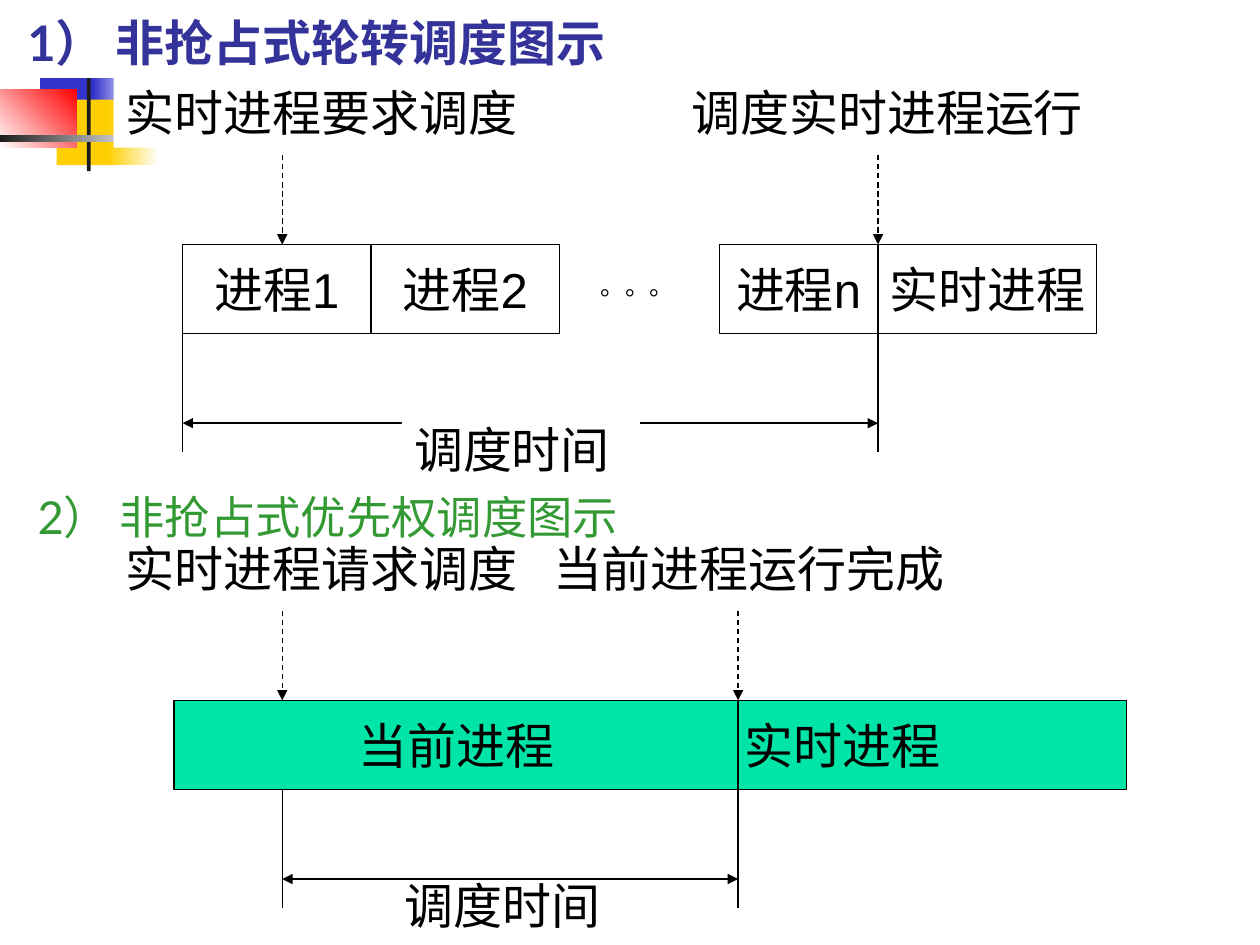
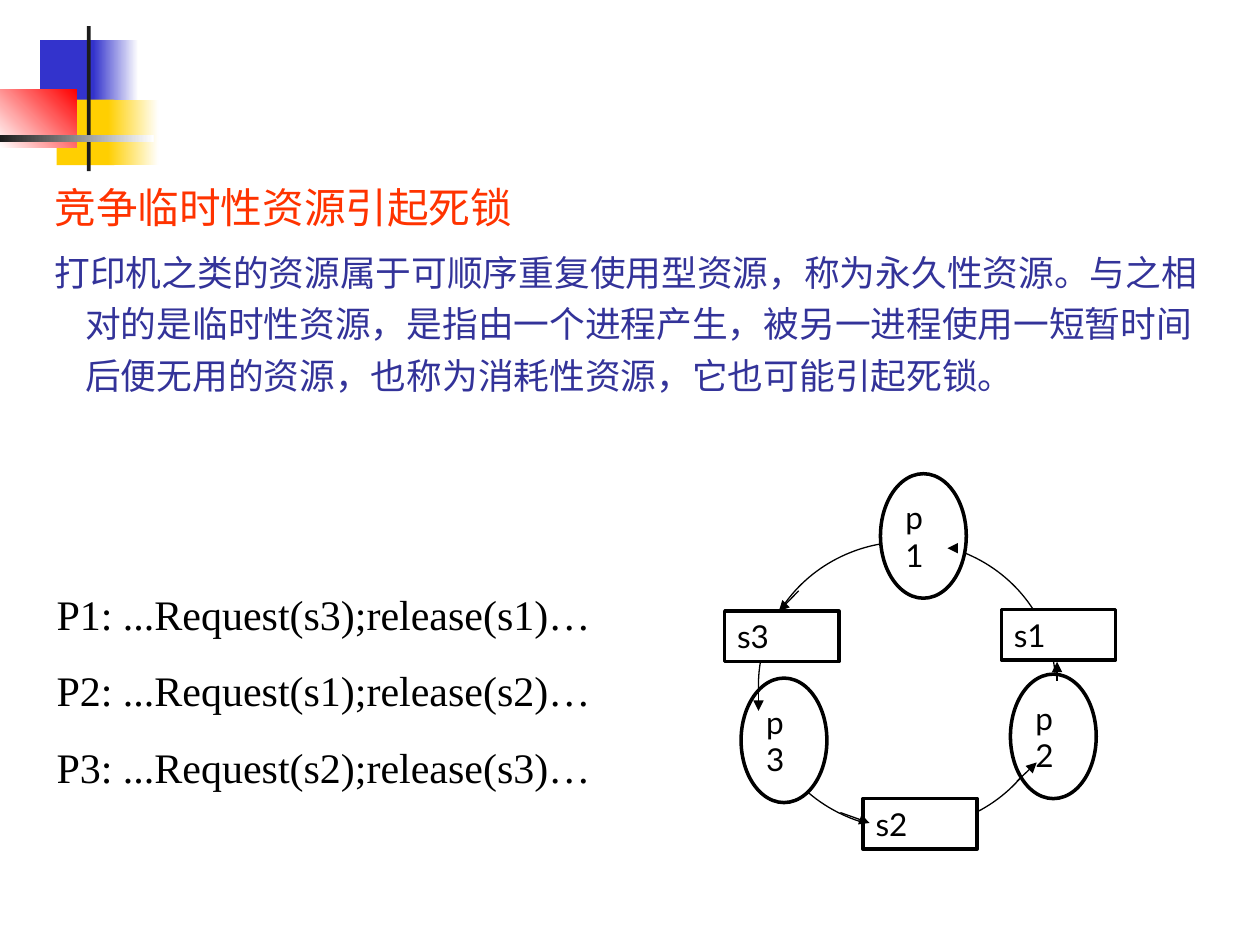
from lxml import etree
from pptx import Presentation
from pptx.dml.color import RGBColor
from pptx.enum import dml, shapes, text as t
from pptx.oxml.ns import qn
from pptx.util import Cm, Pt

BLACK = RGBColor(0x00, 0x00, 0x00)
WHITE = RGBColor(0xFF, 0xFF, 0xFF)
BLUE = RGBColor(0x33, 0x33, 0xCC)
YELLOW = RGBColor(0xFF, 0xCF, 0x01)
RED = RGBColor(0xFF, 0x00, 0x00)
CHARCOAL = RGBColor(0x1C, 0x1C, 0x1C)
NAVY = RGBColor(0x33, 0x33, 0x99)
GREEN = RGBColor(0x33, 0x99, 0x33)
MINT = RGBColor(0x00, 0xE4, 0xA8)
ORANGE = RGBColor(0xFF, 0x33, 0x00)
CJK = "Noto Sans CJK SC"

RECT = shapes.MSO_SHAPE.RECTANGLE
OVAL = shapes.MSO_SHAPE.OVAL
LEFT, CENTER = t.PP_ALIGN.LEFT, t.PP_ALIGN.CENTER
TOP, MIDDLE, BOTTOM = t.MSO_ANCHOR.TOP, t.MSO_ANCHOR.MIDDLE, t.MSO_ANCHOR.BOTTOM


def box(slide, place, text="", kind=None, shape=None, fill=None, line=0, size=28,
        font="Arial", color=BLACK, bold=False, align=LEFT, anchor=TOP, margin=0.25,
        spacing=1.0, before=0, hanging=None):
    """Place a shape (a text box when no kind is given) and write its lines; place is in cm."""
    place = [Cm(v) for v in place]
    if shape is None:
        shape = slide.shapes.add_shape(kind, *place) if kind else slide.shapes.add_textbox(*place)
        if kind:
            shape.shadow.inherit = False
    else:
        shape.left, shape.top, shape.width, shape.height = place
    if fill is None:
        shape.fill.background()
    else:
        shape.fill.solid()
        shape.fill.fore_color.rgb = fill
    if line:
        shape.line.color.rgb = BLACK
        shape.line.width = Pt(line)
    else:
        shape.line.fill.background()

    frame = shape.text_frame
    frame.word_wrap = True
    frame.auto_size = t.MSO_AUTO_SIZE.NONE
    frame.vertical_anchor = anchor
    frame.margin_left = frame.margin_right = Cm(margin)
    frame.margin_top = frame.margin_bottom = Cm(0.13)
    for i, words in enumerate(text.split("\n") if text else []):
        paragraph = frame.add_paragraph() if i else frame.paragraphs[0]
        paragraph.alignment = align
        paragraph.line_spacing = spacing
        paragraph.space_before = Pt(before if i else 0)
        if hanging:
            margins = paragraph._p.get_or_add_pPr()
            margins.set("marL", str(Cm(hanging[0])))
            margins.set("indent", str(-Cm(hanging[1])))
        run = paragraph.add_run()
        run.text = words
        run.font.size, run.font.bold = Pt(size), bold
        run.font.color.rgb = color
        run.font.name = font
        etree.SubElement(run._r.get_or_add_rPr(), qn("a:ea"), typeface=CJK)
    return shape


def connect(slide, x1, y1, x2, y2, heads=(), dashed=False):
    """Draw a thin black line in cm; heads lists the ends with an arrowhead."""
    link = slide.shapes.add_connector(
        shapes.MSO_CONNECTOR.STRAIGHT, Cm(x1), Cm(y1), Cm(x2), Cm(y2))
    link.line.color.rgb = BLACK
    link.line.width = Pt(0.75)
    if dashed:
        link.line.dash_style = dml.MSO_LINE.DASH
    for end in heads:
        etree.SubElement(link.line._get_or_add_ln(), qn(f"a:{end}"), type="triangle")
    etree.SubElement(link._element.spPr, qn("a:effectLst"))


FROM, TO = "headEnd", "tailEnd"

prs = Presentation()
prs.slide_width, prs.slide_height = Cm(25.4), Cm(19.05)
scheduling = prs.slides.add_slide(prs.slide_layouts[5])
deadlock = prs.slides.add_slide(prs.slide_layouts[6])

# Corner ornament: place, start colour, end colour, gradient angle
ornament = [
    ((0.81, 0.81, 1.22, 1.32), BLUE, None, 0),
    ((1.88, 0.81, 0.91, 1.32), BLUE, WHITE, 0),
    ((1.14, 2.01, 1.17, 1.32), YELLOW, None, 0),
    ((2.18, 2.01, 1.02, 1.32), YELLOW, WHITE, 0),
    ((0, 1.8, 1.55, 1.17), WHITE, RED, 45),
    ((1.75, 0.53, 0.08, 2.92), CHARCOAL, None, 0),
    ((0, 2.72, 3.1, 0.15), CHARCOAL, WHITE, 0),
]
for slide in (scheduling, deadlock):
    for place, start, end, angle in ornament:
        piece = box(slide, place, kind=RECT, fill=start)
        if end is not None:
            piece.fill.gradient()
            piece.fill.gradient_angle = angle
            for stop, shade in zip(piece.fill.gradient_stops, (start, end)):
                stop.color.rgb = shade

# Slide 1: two scheduling timelines
title = scheduling.shapes.title
scheduling.shapes._spTree.append(title._element)  # in front of the ornament
box(scheduling, (0.3, 0, 21.64, 1.57), "1） 非抢占式轮转调度图示", shape=title, fill=WHITE,
    font="Lato", color=NAVY, bold=True, anchor=BOTTOM)
box(scheduling, (0.51, 9.73, 21.64, 1.37), "2） 非抢占式优先权调度图示",
    size=25.9, font="Lato", color=GREEN, anchor=BOTTOM, spacing=0.9)

REQUEST_X = 5.69
BAR_HEIGHT = 1.8
round_robin = [("进程1", 3.68, 3.8, CENTER), ("进程2", 7.48, 3.8, CENTER),
               ("进程n", 14.5, 3.2, CENTER), ("实时进程", 17.7, 4.4, CENTER)]
priority = [("当前进程", 3.51, 11.37, CENTER), ("实时进程", 14.88, 7.83, LEFT)]
timelines = [
    # bar top, cells, bar fill, label fill, wait start, wait end, time label left, events
    (4.93, round_robin, WHITE, WHITE, 3.68, 17.7, 8.1,
     [("实时进程要求调度", 2.29), ("调度实时进程运行", 13.69)]),
    (14.12, priority, MINT, None, REQUEST_X, 14.88, 7.9,
     [("实时进程请求调度", 2.29), ("当前进程运行完成", 10.9)]),
]
for top, cells, bar_fill, label_fill, start, end, time_left, events in timelines:
    bottom = top + BAR_HEIGHT
    for process, left, width, align in cells:
        box(scheduling, (left, top, width, BAR_HEIGHT), process, kind=RECT, fill=bar_fill,
            line=0.75, align=align, anchor=MIDDLE, margin=0.13)
    for x in (start, end):
        connect(scheduling, x, bottom, x, bottom + 2.39)
    connect(scheduling, start, bottom + 1.8, end, bottom + 1.8, heads=(FROM, TO))
    for x in (REQUEST_X, end):
        connect(scheduling, x, top - 1.8, x, top, heads=(TO,), dashed=True)
    for event, left in events:
        box(scheduling, (left, top - 3.4, 8.61, 1.45), event, fill=label_fill)
    box(scheduling, (time_left, bottom + 1.6, 4.8, 1.45), "调度时间", fill=label_fill)
box(scheduling, (11.86, 5.44, 2.3, 0.74), "。。。", size=14, font="Lato", spacing=0.8)

# Slide 2: deadlock over temporary resources
explanation = box(
    deadlock, (0.51, 3.33, 24.41, 5),
    "竞争临时性资源引起死锁\n"
    "打印机之类的资源属于可顺序重复使用型资源，称为永久性资源。与之相对的是临时性资源，"
    "是指由一个进程产生，被另一进程使用一短暂时间后便无用的资源，也称为消耗性资源，"
    "它也可能引起死锁。",
    size=23.8, font=CJK, color=ORANGE, spacing=1.2, before=6, hanging=(0.96, 0.62))
definition = explanation.text_frame.paragraphs[1].runs[0].font
definition.size = Pt(20.4)
definition.color.rgb = NAVY

box(deadlock, (15.29, 10.92, 5.99, 5.79), kind=OVAL, line=0.75)
resources = [("s3", 14.61, 12.32), ("s1", 20.19, 12.29), ("s2", 17.4, 16.1)]
processes = [("p3", 14.94, 13.67), ("p2", 20.37, 13.59), ("p1", 17.75, 9.55)]
for nodes, kind, width, height in ((resources, RECT, 2.3, 1.02), (processes, OVAL, 1.73, 2.51)):
    for label, left, top in nodes:
        box(deadlock, (left, top, width, height), label, kind=kind, fill=WHITE, line=2,
            size=18, font="Lato", anchor=MIDDLE)

ring_arrows = [
    (16.94, 16.38, 17.53, 16.59), (15.29, 13.72, 15.29, 14.33), (16.1, 11.91, 15.7, 12.32),
    (19.3, 11.05, 19.1, 11.05), (21.31, 13.72, 21.31, 13.34), (20.5, 15.75, 20.9, 15.37),
]
for ends in ring_arrows:
    connect(deadlock, *ends, heads=(TO,))

box(deadlock, (0.89, 11.73, 12.8, 5.92),
    "P1: ...Request(s3);release(s1)…\n"
    "P2: ...Request(s1);release(s2)…\n"
    "P3: ...Request(s2);release(s3)…",
    size=24, font="Times New Roman", before=15)

prs.save("out.pptx")
